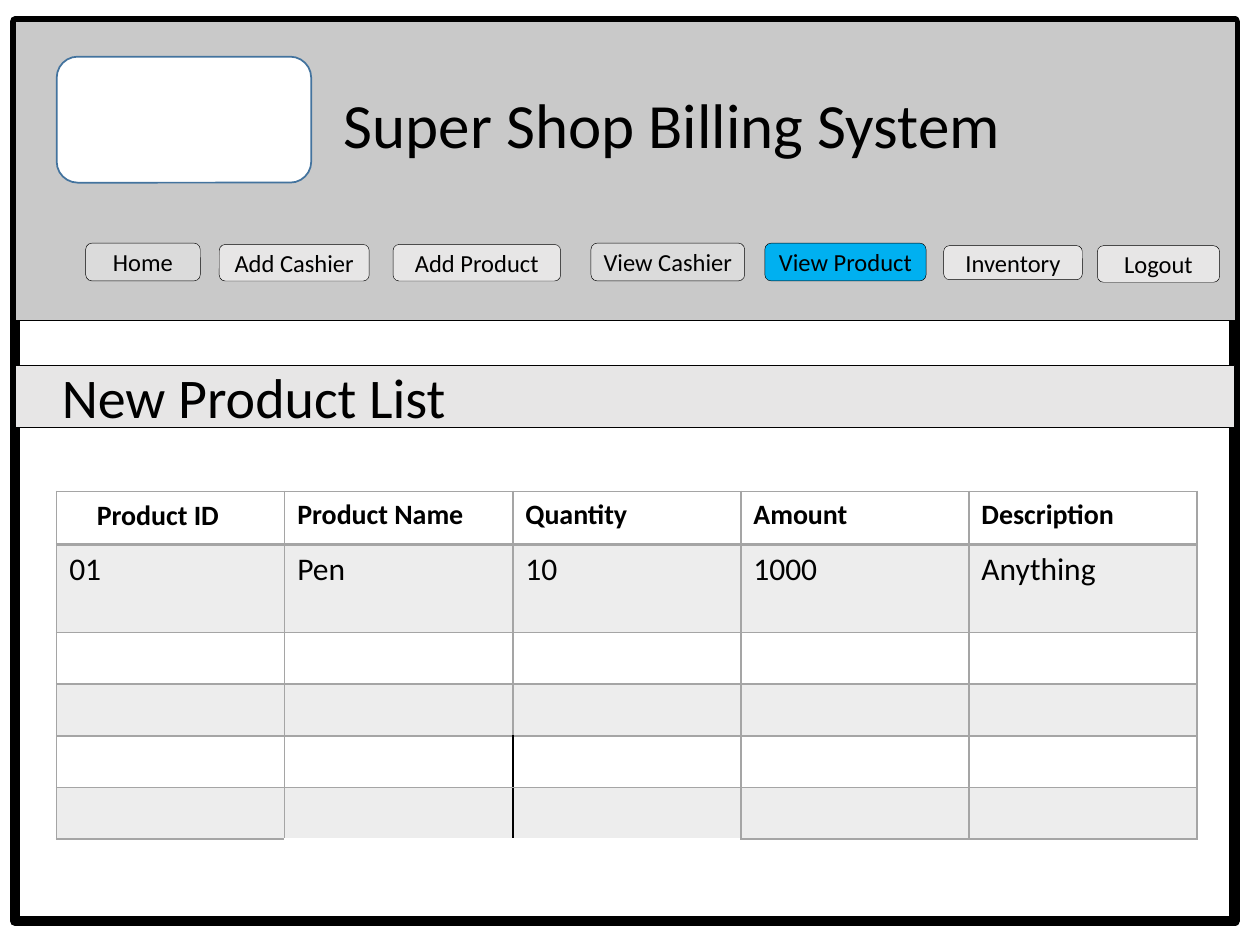
from dataclasses import dataclass

from lxml import etree
from pptx import Presentation
from pptx.dml.color import RGBColor
from pptx.enum.shapes import MSO_SHAPE as SHAPE
from pptx.enum.text import MSO_ANCHOR as ANCHOR, PP_ALIGN as ALIGN
from pptx.oxml.ns import qn
from pptx.util import Inches, Pt


@dataclass(frozen=True)
class Theme:
    font: str = "Calibri"
    black: str = "000000"
    white: str = "FFFFFF"
    header: str = "C9C9C9"
    light: str = "E7E6E6"
    button: str = "DBDBDB"
    active: str = "00B0F0"
    logo_line: str = "43739E"
    grid: str = "A5A5A5"
    title: int = 36
    heading: int = 32
    body: int = 18
    label: int = 16
    nav: int = 14


class SlideBuilder:
    def __init__(self, slide, theme):
        self.s = slide
        self.theme = theme

    def add_text(self, tf, text, size, bold=False, align=ALIGN.LEFT):
        p = tf.paragraphs[0]
        p.alignment = align
        r = p.add_run()
        r.text = text
        r.font.color.rgb = RGBColor.from_string(self.theme.black)
        for name, value in {"name": self.theme.font, "size": Pt(size), "bold": bold}.items():
            setattr(r.font, name, value)

    def box(self, at, fill, line, width, kind=SHAPE.RECTANGLE):
        sp = self.s.shapes.add_shape(kind, *map(Inches, at))
        sp.shadow.inherit = False
        sp.fill.solid()
        sp.fill.fore_color.rgb = RGBColor.from_string(fill)
        sp.line.color.rgb = RGBColor.from_string(line)
        sp.line.width = Pt(width)
        return sp

    def label_box(self, sp, text, size, align=ALIGN.CENTER, left=0.07):
        tf = sp.text_frame
        frame = {"margin_left": Inches(left), "margin_right": Inches(0.07),
                 "margin_top": Inches(0.04), "margin_bottom": Inches(0.04),
                 "vertical_anchor": ANCHOR.MIDDLE, "word_wrap": True}
        for name, value in frame.items():
            setattr(tf, name, value)
        self.add_text(tf, text, size, align=align)

    def text(self, at, text, size, bold=False):
        tf = self.s.shapes.add_textbox(*map(Inches, at)).text_frame
        tf.word_wrap = True
        self.add_text(tf, text, size, bold)

    def table(self, at, heights, rows):
        n_rows, n_cols = len(rows), len(rows[0])
        table = self.s.shapes.add_table(n_rows, n_cols, *map(Inches, at)).table
        table.first_row = table.horz_banding = False
        for row, height in zip(table.rows, heights):
            row.height = Inches(height)
        for r, row in enumerate(rows):
            for c, text in enumerate(row):
                cell = table.cell(r, c)
                self.shade(cell, r % 2 == 1)
                self.borders(cell, self.cell_edges(r, c, n_rows))
                if text:
                    size = self.theme.body if r else self.theme.label
                    self.add_text(cell.text_frame, text, size, bold=r == 0)

    def shade(self, cell, banded):
        """Tint banded cells with the grid colour at 20 % opacity."""
        if not banded:
            cell.fill.background()
            return
        cell.fill.solid()
        cell.fill.fore_color.rgb = RGBColor.from_string(self.theme.grid)
        color = cell._tc.tcPr.find(".//" + qn("a:srgbClr"))
        etree.SubElement(color, qn("a:alpha"), val="20000")

    def cell_edges(self, r, c, n_rows):
        """Grey grid, heavier under the header, with a black divider low in the middle."""
        grid, black = self.theme.grid, self.theme.black
        edges = {side: (grid, 1) for side in "LRTB"}
        if r == 0:
            edges["B"] = (grid, 2)
        elif r == 1:
            edges["T"] = (grid, 2)
        if r >= n_rows - 2 and c in (1, 2):
            edges["R" if c == 1 else "L"] = (black, 1)
            if r == n_rows - 1:
                del edges["B"]
        return edges

    def borders(self, cell, edges):
        tc_pr = cell._tc.get_or_add_tcPr()
        for i, (side, (color, width)) in enumerate(edges.items()):
            ln = etree.Element(qn(f"a:ln{side}"), w=str(Pt(width)))
            fill = etree.SubElement(ln, qn("a:solidFill"))
            etree.SubElement(fill, qn("a:srgbClr"), val=color)
            tc_pr.insert(i, ln)


def main():
    prs = Presentation()
    prs.slide_width, prs.slide_height = Inches(10), Inches(7.5)
    t = Theme()
    b = SlideBuilder(prs.slides.add_slide(prs.slide_layouts[6]), t)
    left, top, width = 0.12, 0.17, 9.68

    b.box((left, top, width, 7.14), t.white, t.black, 6)
    b.box((left, top, width, 2.37), t.header, t.black, 0.25)
    b.text((2.63, 0.63, 5.46, 0.71), "Super Shop Billing System", t.title)
    b.box((0.45, 0.45, 2.02, 1), t.white, t.logo_line, 1, SHAPE.ROUNDED_RECTANGLE)

    buttons = [
        ("Home", (0.68, 1.93, 0.91, 0.3), t.button),
        ("Add Cashier", (1.74, 1.94, 1.19, 0.29), t.light),
        ("Add Product", (3.12, 1.94, 1.33, 0.29), t.light),
        ("View Cashier", (4.69, 1.93, 1.22, 0.3), t.button),
        ("View Product", (6.07, 1.93, 1.28, 0.3), t.active),
        ("Inventory", (7.49, 1.95, 1.1, 0.27), t.light),
        ("Logout", (8.71, 1.95, 0.97, 0.29), t.light),
    ]
    for text, at, fill in buttons:
        button = b.box(at, fill, t.black, 0.25, SHAPE.ROUNDED_RECTANGLE)
        b.label_box(button, text, t.nav)

    band = b.box((left, 2.9, width, 0.49), t.light, t.black, 0.5)
    b.label_box(band, "New Product List", t.heading, ALIGN.LEFT, left=0.37)

    products = [
        ["", "Product Name", "Quantity", "Amount", "Description"],
        ["01", "Pen", "10", "1000", "Anything"],
    ] + [[""] * 5] * 4
    b.table((0.45, 3.9, 9.05, 2.74), [0.42, 0.7] + [0.41] * 4, products)
    b.text((0.67, 3.9, 1.3, 0.37), "Product ID", t.label, bold=True)

    prs.save("out.pptx")


if __name__ == "__main__":
    main()
